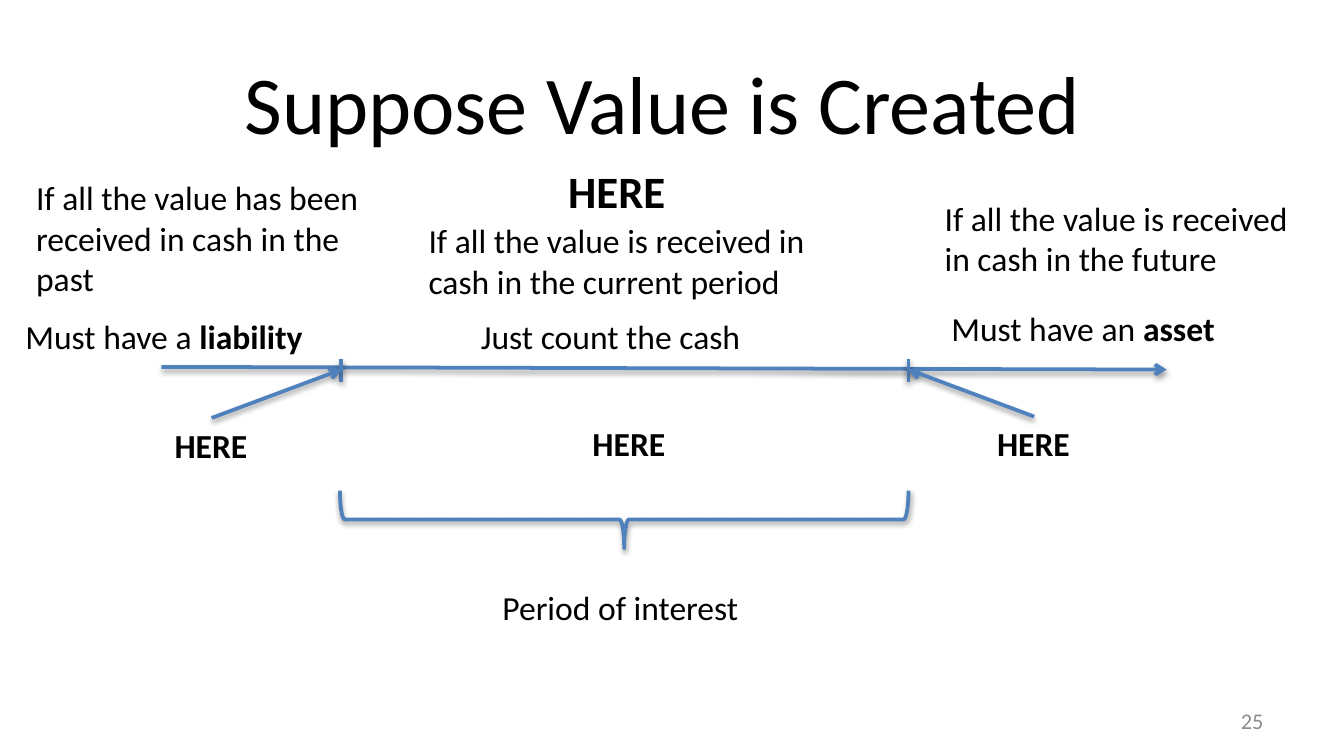
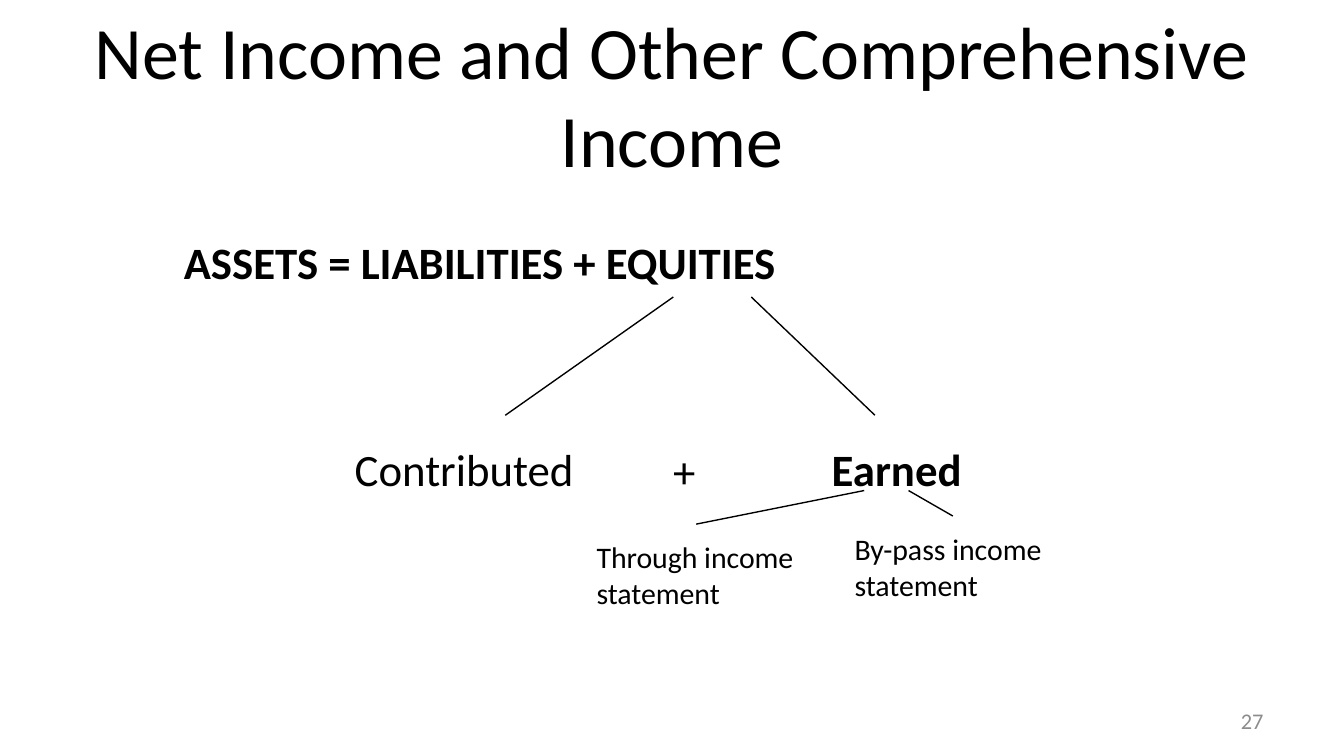
import pptx
import pptx.util
import pptx.dml.color
import pptx.enum.shapes
import pptx.enum.text
import pptx.oxml
import pptx.oxml.ns
import lxml.etree

Inches = pptx.util.Inches
Align = pptx.enum.text.PP_ALIGN
FONT = "Calibri"
BLACK, BLUE, GREY = "000000", "4F81BD", "8C8C8C"
START, END, AXIS = 2.54, 6.76, 2.75

VALUE_NOTES = [
    (4.13, 1.17, 0.93, 1, 24, False, "", "HERE"),
    (3.64, 4.32, 2, 1, 18, False, "Period of interest", ""),
    (3.09, 1.59, 3.25, 2, 18, True, "If all the value is received in cash in the current period", ""),
    (6.93, 1.42, 2.92, 2, 18, True, "If all the value is received in cash in the future", ""),
    (0.17, 1.27, 2.92, 3, 18, True, "If all the value has been received in cash in the past", ""),
    (4.31, 3.1, 0.75, 1, 18, False, "", "HERE"),
    (3.48, 2.3, 2.16, 1, 18, False, "Just count the cash", ""),
    (6.98, 2.24, 2.19, 1, 18, False, "Must have an ", "asset"),
    (0.09, 2.3, 2.31, 1, 18, False, "Must have a ", "liability"),
]
POINTERS = [
    ((1.2, 3.11, 0.75, 1, 18, False, "", "HERE"), START),
    ((7.32, 3.1, 0.75, 1, 18, False, "", "HERE"), END),
]
INCOME_NOTES = [
    (1.27, 1.7, 4.67, 1, 24, True, "", "ASSETS = LIABILITIES + EQUITIES"),
    (2.54, 3.24, 1.85, 1, 24, False, "Contributed", ""),
    (4.91, 3.25, 0.37, 1, 24, False, "+", ""),
    (6.09, 3.24, 1.18, 1, 24, False, "", "Earned"),
    (4.34, 3.96, 1.68, 2, 16, False, "Through income\nstatement", ""),
    (6.26, 3.9, 1.61, 2, 16, False, "By-pass income\nstatement", ""),
]
BRANCHES = [
    (5.01, 2.21, 3.76, 3.09),
    (5.59, 2.21, 6.51, 3.09),
    (6.43, 3.65, 5.18, 3.9),
    (6.76, 3.65, 7.09, 3.84),
]
SHADOW = (
    '<a:outerShdw %s blurRad="39370" dist="20320" dir="5400000" rotWithShape="0">'
    '<a:srgbClr val="000000"><a:alpha val="38000"/></a:srgbClr></a:outerShdw>'
    % pptx.oxml.ns.nsdecls("a")
)


def rgb(code):
    return pptx.dml.color.RGBColor.from_string(code)


def add_text(slide, box, text, size, color=BLACK, bold="", align=Align.LEFT, wrap=True):
    shape = slide.shapes.add_textbox(*map(Inches, box))
    frame = shape.text_frame
    frame.word_wrap = wrap
    frame.text = text
    if bold:
        run = frame.paragraphs[-1].add_run()
        run.text = bold
        run.font.bold = True
    for para in frame.paragraphs:
        para.alignment = align
        for run in para.runs:
            run.font.name = FONT
            run.font.size = pptx.util.Pt(size)
            run.font.color.rgb = rgb(color)
    return shape


def add_note(slide, note):
    left, top, width, lines, size, wrap, plain, bold = note
    height = 0.1 + lines * size / 60
    shape = add_text(slide, (left, top, width, height), plain, size, bold=bold, wrap=wrap)
    shape.text_frame.auto_size = pptx.enum.text.MSO_AUTO_SIZE.SHAPE_TO_FIT_TEXT
    return shape


def style_line(shape, color, width, shadow):
    shape.line.color.rgb = rgb(color)
    shape.line.width = pptx.util.Pt(width)
    effects = lxml.etree.SubElement(shape._element.spPr, pptx.oxml.ns.qn("a:effectLst"))
    if shadow:
        effects.append(pptx.oxml.parse_xml(SHADOW))


def add_line(slide, ends, color=BLUE, width=2, shadow=True, arrow=False):
    kind = pptx.enum.shapes.MSO_CONNECTOR.STRAIGHT
    line = slide.shapes.add_connector(kind, *map(Inches, ends))
    style_line(line, color, width, shadow)
    if arrow:
        outline = line.line._get_or_add_ln()
        lxml.etree.SubElement(outline, pptx.oxml.ns.qn("a:tailEnd"), type="arrow")
    return line


def add_slide(deck, title, top, size, number):
    slide = deck.slides.add_slide(deck.slide_layouts[6])
    head = add_text(slide, (0.5, top, 9, 0.94), title, size, align=Align.CENTER)
    foot = add_text(slide, (7.17, 5.21, 2.33, 0.3), number, 12, GREY, align=Align.RIGHT)
    for shape in (head, foot):
        shape.text_frame.vertical_anchor = pptx.enum.text.MSO_ANCHOR.MIDDLE
    return slide


def draw_value(deck):
    slide = add_slide(deck, "Suppose Value is Created ", 0.29, 44, "25")
    add_line(slide, (1.2, 2.73, 8.68, AXIS), arrow=True)
    for edge in (START, END):
        add_line(slide, (edge, 2.67, edge, 2.84))
    kind = pptx.enum.shapes.MSO_SHAPE.LEFT_BRACE
    brace = slide.shapes.add_shape(kind, *map(Inches, (4.43, 1.75, 0.43, 4.23)))
    brace.rotation = 270
    brace.fill.background()
    style_line(brace, BLUE, 2, True)
    for note in VALUE_NOTES:
        add_note(slide, note)
    for note, edge in POINTERS:
        label = add_note(slide, note)
        line = add_line(slide, (note[0], note[1], edge, AXIS), arrow=True)
        line.begin_connect(label, 0)


def draw_income(deck):
    title = "Net Income and Other Comprehensive Income"
    slide = add_slide(deck, title, 0.23, 39.6, "27")
    for note in INCOME_NOTES:
        add_note(slide, note)
    for ends in BRANCHES:
        add_line(slide, ends, BLACK, 0.75, shadow=False)


def main():
    deck = pptx.Presentation()
    deck.slide_width = Inches(10)
    deck.slide_height = deck.slide_width * 9 // 16
    draw_value(deck)
    draw_income(deck)
    deck.save("out.pptx")


if __name__ == "__main__":
    main()
